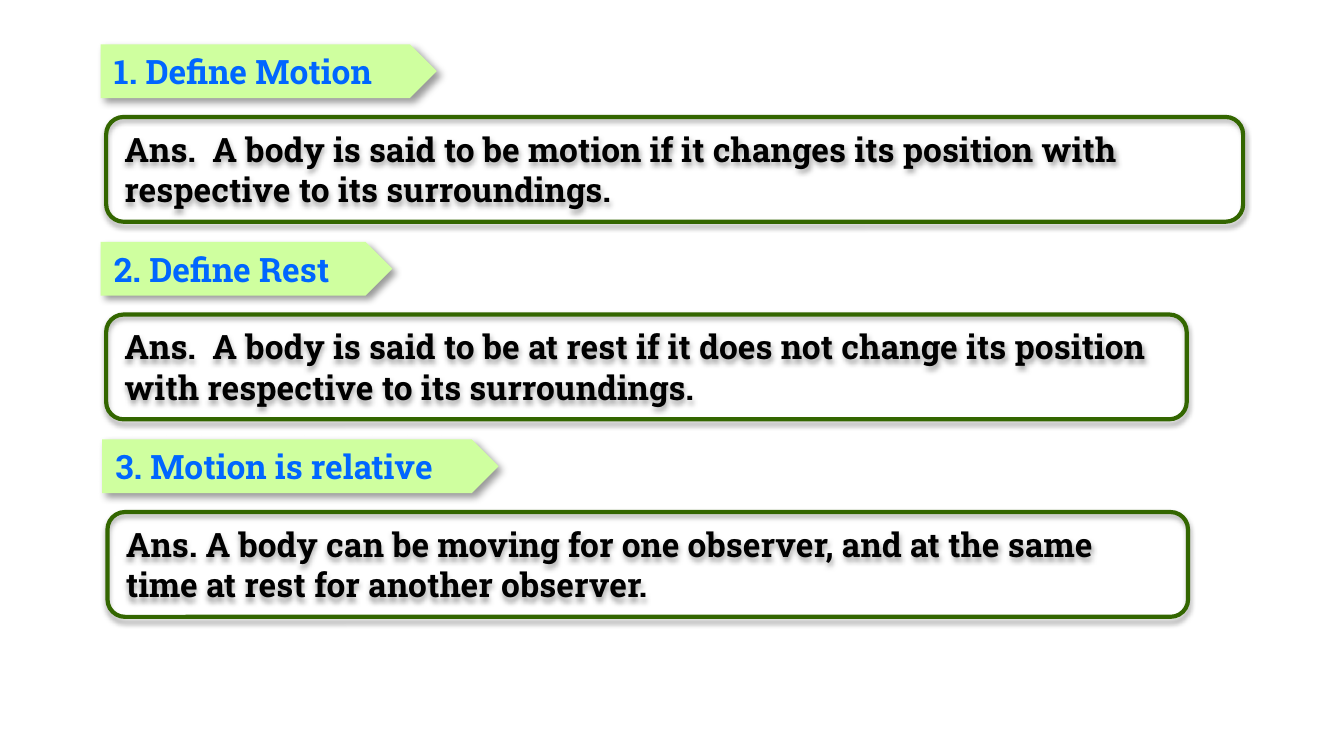
from dataclasses import dataclass

from lxml import etree
from pptx import Presentation
from pptx.dml.color import RGBColor
from pptx.enum.shapes import MSO_SHAPE
from pptx.enum.text import MSO_ANCHOR, MSO_AUTO_SIZE, PP_ALIGN
from pptx.oxml.ns import qn
from pptx.util import Inches, Pt

TAG = MSO_SHAPE.PENTAGON
ROUNDED = MSO_SHAPE.ROUNDED_RECTANGLE
LEFT = PP_ALIGN.LEFT
TOP = MSO_ANCHOR.TOP
GROW = MSO_AUTO_SIZE.SHAPE_TO_FIT_TEXT
BLANK_LAYOUT = 6


@dataclass(frozen=True)
class Theme:
    font: str = "Roboto Slab"
    size: int = 18
    question: str = "0066FF"
    answer: str = "000000"
    tag_fill: str = "CFFF9F"
    border: str = "336600"
    shadow: str = "000000"
    border_width: float = 2.25


def rgb(value):
    return RGBColor.from_string(value)


def write_text(s, text, *, font, size, color, wrap):
    tf = s.text_frame
    tf.word_wrap = wrap
    tf.auto_size = GROW
    tf.vertical_anchor = TOP
    p = tf.paragraphs[0]
    p.alignment = LEFT
    r = p.add_run()
    r.text = text
    r.font.name = font
    r.font.size = Pt(size)
    r.font.bold = True
    r.font.color.rgb = rgb(color)


class SlideBuilder:
    def __init__(self, slide, theme):
        self.slide = slide
        self.theme = theme

    def shape(self, kind, left, top, width, height):
        return self.slide.shapes.add_shape(
            kind, Inches(left), Inches(top), Inches(width), Inches(height))

    def drop_shadow(self, s, *, opacity, blur, distance, angle):
        s.shadow.inherit = False
        effects = s._element.spPr.find(qn("a:effectLst"))
        outer = etree.SubElement(
            effects, qn("a:outerShdw"), blurRad=str(Pt(blur)),
            dist=str(Pt(distance)), dir=str(angle * 60000),
            algn="tl", rotWithShape="0")
        color = etree.SubElement(outer, qn("a:srgbClr"), val=self.theme.shadow)
        etree.SubElement(color, qn("a:alpha"), val=str(opacity * 1000))

    def question(self, text, left, top, width):
        t = self.theme
        s = self.shape(TAG, left, top, width, 0.4)
        s.fill.solid()
        s.fill.fore_color.rgb = rgb(t.tag_fill)
        s.line.fill.background()
        self.drop_shadow(s, opacity=40, blur=4, distance=3, angle=45)
        write_text(s, text, font=t.font, size=t.size, color=t.question, wrap=False)

    def answer(self, text, left, top, width):
        t = self.theme
        s = self.shape(ROUNDED, left, top, width, 0.78)
        s.fill.background()
        s.line.color.rgb = rgb(t.border)
        s.line.width = Pt(t.border_width)
        self.drop_shadow(s, opacity=35, blur=3.1, distance=1.8, angle=90)
        write_text(s, text, font=t.font, size=t.size, color=t.answer, wrap=True)


# Left edge, question and its width, answer and its width
ITEMS = [
    (0.75, "1. Define Motion", 2.5,
     "Ans.  A body is said to be motion if it changes its position with "
     "respective to its surroundings.", 8.46),
    (0.75, "2. Define Rest", 2.17,
     "Ans.  A body is said to be at rest if it does not change its position "
     "with respective to its surroundings.", 8.04),
    (0.76, "3. Motion is relative", 2.95,
     "Ans. A body can be moving for one observer, and at the same time at "
     "rest for another observer.", 8.04),
]
FIRST_TOP = 0.33
PITCH = 1.47
ANSWER_INDENT = 0.04
ANSWER_DROP = 0.54


def main():
    prs = Presentation()
    prs.slide_width = Inches(10)
    prs.slide_height = prs.slide_width * 9 // 16
    slide = prs.slides.add_slide(prs.slide_layouts[BLANK_LAYOUT])
    builder = SlideBuilder(slide, Theme())

    # Each question tag sits above its answer box
    for i, (left, question, tag_width, answer, box_width) in enumerate(ITEMS):
        top = FIRST_TOP + i * PITCH
        builder.question(question, left, top, tag_width)
        builder.answer(answer, left + ANSWER_INDENT, top + ANSWER_DROP, box_width)

    prs.save("out.pptx")


if __name__ == "__main__":
    main()
